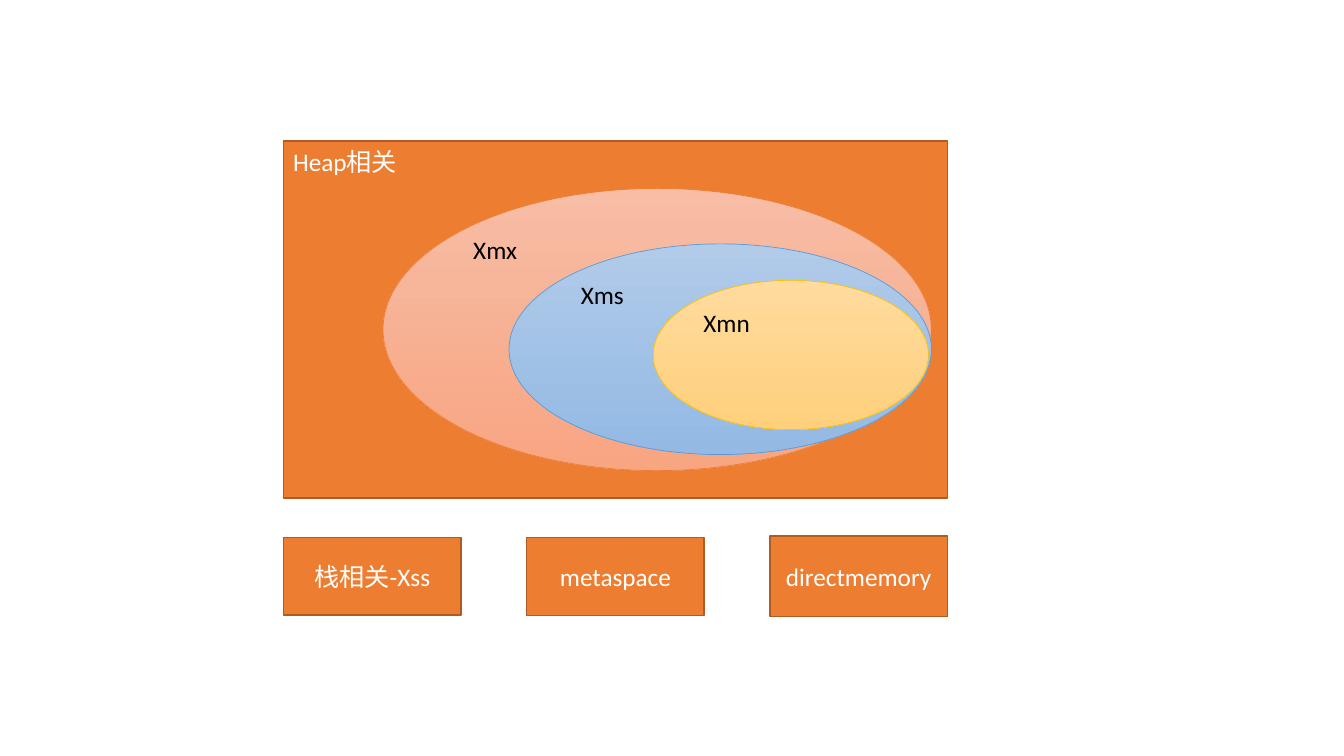
from pptx import Presentation
from pptx.dml.color import RGBColor
from pptx.enum.shapes import MSO_SHAPE
from pptx.enum.text import MSO_ANCHOR, PP_ALIGN
from pptx.util import Pt

RECTANGLE, OVAL = MSO_SHAPE.RECTANGLE, MSO_SHAPE.OVAL
TOP, MIDDLE = MSO_ANCHOR.TOP, MSO_ANCHOR.MIDDLE
LEFT, CENTER = PP_ALIGN.LEFT, PP_ALIGN.CENTER
ORANGE, DARK_ORANGE = "ED7D31", "AF5C24"
WHITE, BLACK = "FFFFFF", "000000"


def color(value):
    return RGBColor.from_string(value)


def add_area(kind, bounds, label, fills, line, width, ink, anchor, align):
    area = page.shapes.add_shape(kind, *[Pt(length) for length in bounds])
    area.shadow.inherit = False
    if len(fills) == 1:
        area.fill.solid()
        area.fill.fore_color.rgb = color(fills[0])
    else:
        area.fill.gradient()
        area.fill.gradient_angle = 270
        for stop, shade in zip(area.fill.gradient_stops, fills):
            stop.color.rgb = color(shade)
    area.line.color.rgb = color(line)
    area.line.width = Pt(width)
    area.text_frame.text = label
    area.text_frame.vertical_anchor = anchor
    para = area.text_frame.paragraphs[0]
    para.alignment = align
    font = para.runs[0].font
    font.name = "Calibri"
    font.size = Pt(18)
    font.color.rgb = color(ink)


deck = Presentation()
deck.slide_width, deck.slide_height = Pt(960), Pt(540)
page = deck.slides.add_slide(deck.slide_layouts[6])

heap_left, heap_width = 202.4, 474.4
add_area(RECTANGLE, (heap_left, 100.8, heap_width, 255), "Heap相关",
         [ORANGE], DARK_ORANGE, 1, WHITE, TOP, LEFT)

region_width = 126.8
region_step = (heap_width - region_width) / 2
regions = [("栈相关-Xss", 383.8, 55.5), ("metaspace", 383.8, 56), ("directmemory", 383, 57.6)]
for index, (label, top, height) in enumerate(regions):
    bounds = (heap_left + index * region_step, top, region_width, height)
    add_area(RECTANGLE, bounds, label, [ORANGE], DARK_ORANGE, 1, WHITE, MIDDLE, CENTER)

heap_options = [
    ("Xmx", (273.6, 134.6, 391.7, 201.6), ["F7BDA5", "F8A582"], ORANGE),
    ("Xms", (363.6, 174.2, 301.7, 150.5), ["B1CBE9", "93B9E4"], "5B9BD5"),
    ("Xmn", (466.6, 200.2, 196.6, 106.6), ["FFDB9E", "FFD07C"], "FFC000"),
]
for label, bounds, fills, line in heap_options:
    add_area(OVAL, bounds, label, fills, line, 0.5, BLACK, TOP, LEFT)

deck.save("out.pptx")
